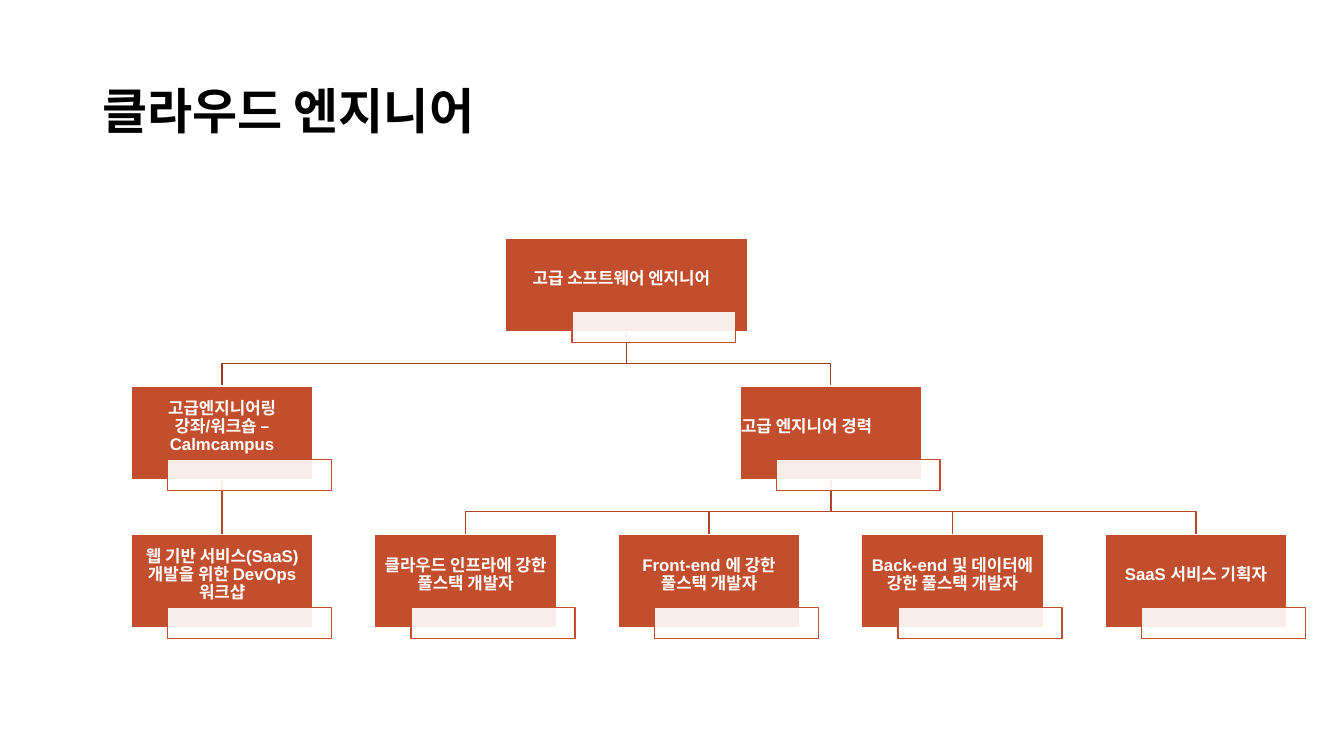
from dataclasses import dataclass

import pptx
import pptx.dml.color
import pptx.enum.shapes
import pptx.enum.text
import pptx.oxml
import pptx.oxml.ns
import pptx.util

TITLE = "클라우드 엔지니어"

# key: (text, column, row, parent, extra format)
NODES = {
    "root": ("고급 소프트웨어 엔지니어", 1.66, 0, None,
             {"wide": 173.5, "right": 7.8}),
    "course": ("고급엔지니어링 강좌/워크숍 – Calmcampus", 0, 1, "root", {}),
    "career": ("고급 엔지니어 경력", 2.5, 1, "root", {"align": "LEFT"}),
    "shop": ("웹 기반 서비스(SaaS)개발을 위한 DevOps 워크샵", 0, 2, "course", {}),
    "infra": ("클라우드 인프라에 강한 풀스택 개발자", 1, 2, "career", {}),
    "front": ("Front-end 에 강한 풀스택 개발자", 2, 2, "career", {}),
    "back": ("Back-end 및 데이터에 강한 풀스택 개발자", 3, 2, "career", {}),
    "plan": ("SaaS 서비스 기획자", 4, 2, "career", {}),
}


@dataclass(frozen=True)
class Theme:
    ink: str = "000000"
    white: str = "FFFFFF"
    box: str = "C24E2E"
    links: tuple = ("9B3E25", "B0472A")
    head: str = "Quicksand"
    body: str = "Arial"
    big: int = 35
    small: int = 12


LOOK = Theme()
Pt = pptx.util.Pt

MID, TOP = 158.7, 170.1        # centre of the first column, top of the first row
STEP, RISE = 173.9, 105.75     # column and row pitch
WIDE, HIGH = 129.8, 66.7       # node box
TAG = (-38.9, 52.2, 117, 22.3)  # from node centre and top: left, top, width, height
DROP = 23                      # parent bottom to the cross line


def color(code):
    return pptx.dml.color.RGBColor.from_string(code)


def write(shape, text, font=LOOK.body, size=LOOK.small, ink=LOOK.white,
          align="CENTER", inset=(0.8, 0.8, 0.8, 9.4)):
    frame = shape.text_frame
    frame.word_wrap = True
    frame.vertical_anchor = pptx.enum.text.MSO_ANCHOR.MIDDLE
    (frame.margin_left, frame.margin_top,
     frame.margin_right, frame.margin_bottom) = map(Pt, inset)
    para = frame.paragraphs[0]
    para.alignment = getattr(pptx.enum.text.PP_ALIGN, align)
    para.line_spacing = 0.9
    run = para.add_run()
    run.text = text
    run.font.name, run.font.size, run.font.bold = font, Pt(size), True
    run.font.color.rgb = color(ink)


def rect(slide, left, top, wide, high, fill, line, alpha=None):
    shape = slide.shapes.add_shape(
        pptx.enum.shapes.MSO_SHAPE.RECTANGLE, *map(Pt, (left, top, wide, high)))
    shape.shadow.inherit = False
    shape.fill.solid()
    shape.fill.fore_color.rgb = color(fill)
    shape.line.color.rgb = color(line)
    shape.line.width = Pt(1)
    if alpha:
        tint = shape.fill._xPr.find(".//" + pptx.oxml.ns.qn("a:srgbClr"))
        part = pptx.oxml.parse_xml(
            f'<a:alpha {pptx.oxml.ns.nsdecls("a")} val="{alpha * 1000}"/>')
        tint.append(part)
    return shape


def place(col, row):
    """Centre and top of a node."""
    return MID + col * STEP, TOP + row * RISE


def link(slide, start, end, row):
    (x1, y1), (x2, y2) = start, end
    if x1 == x2:
        line = slide.shapes.add_connector(
            pptx.enum.shapes.MSO_CONNECTOR.STRAIGHT, *map(Pt, (x1, y1, x2, y2)))
        line._element.spPr.append(pptx.oxml.parse_xml(
            f'<a:effectLst {pptx.oxml.ns.nsdecls("a")}/>'))
    else:
        bend = y1 + DROP
        pen = slide.shapes.build_freeform(Pt(x1), Pt(y1))
        pen.add_line_segments(
            [(Pt(x), Pt(y)) for x, y in ((x1, bend), (x2, bend), (x2, y2))],
            close=False)
        line = pen.convert_to_shape()
        line.shadow.inherit = False
        line.fill.background()
    line.line.color.rgb = color(LOOK.links[row])
    line.line.width = Pt(1)


def node(slide, text, col, row, wide=WIDE, right=0.8, align="CENTER"):
    mid, top = place(col, row)
    box = rect(slide, mid - wide / 2, top, wide, HIGH, LOOK.box, LOOK.white)
    write(box, text, align=align, inset=(0.8, 0.8, right, 9.4))
    left, down, *size = TAG
    rect(slide, mid + left, top + down, *size, LOOK.white, LOOK.box, alpha=90)


def main():
    deck = pptx.Presentation()
    deck.slide_width, deck.slide_height = Pt(960), Pt(540)
    slide = deck.slides.add_slide(deck.slide_layouts[6])

    title = slide.shapes.add_textbox(*map(Pt, (66, 28.75, 828, 104.4)))
    write(title, TITLE, font=LOOK.head, size=LOOK.big, ink=LOOK.ink,
          align="LEFT", inset=(7.2, 3.6, 7.2, 3.6))

    for _, col, row, parent, _ in NODES.values():
        if parent:
            _, over, level, *_ = NODES[parent]
            mid, top = place(over, level)
            link(slide, (mid, top + HIGH), place(col, row), level)
    for text, col, row, _, extra in NODES.values():
        node(slide, text, col, row, **extra)

    deck.save("out.pptx")


if __name__ == "__main__":
    main()
